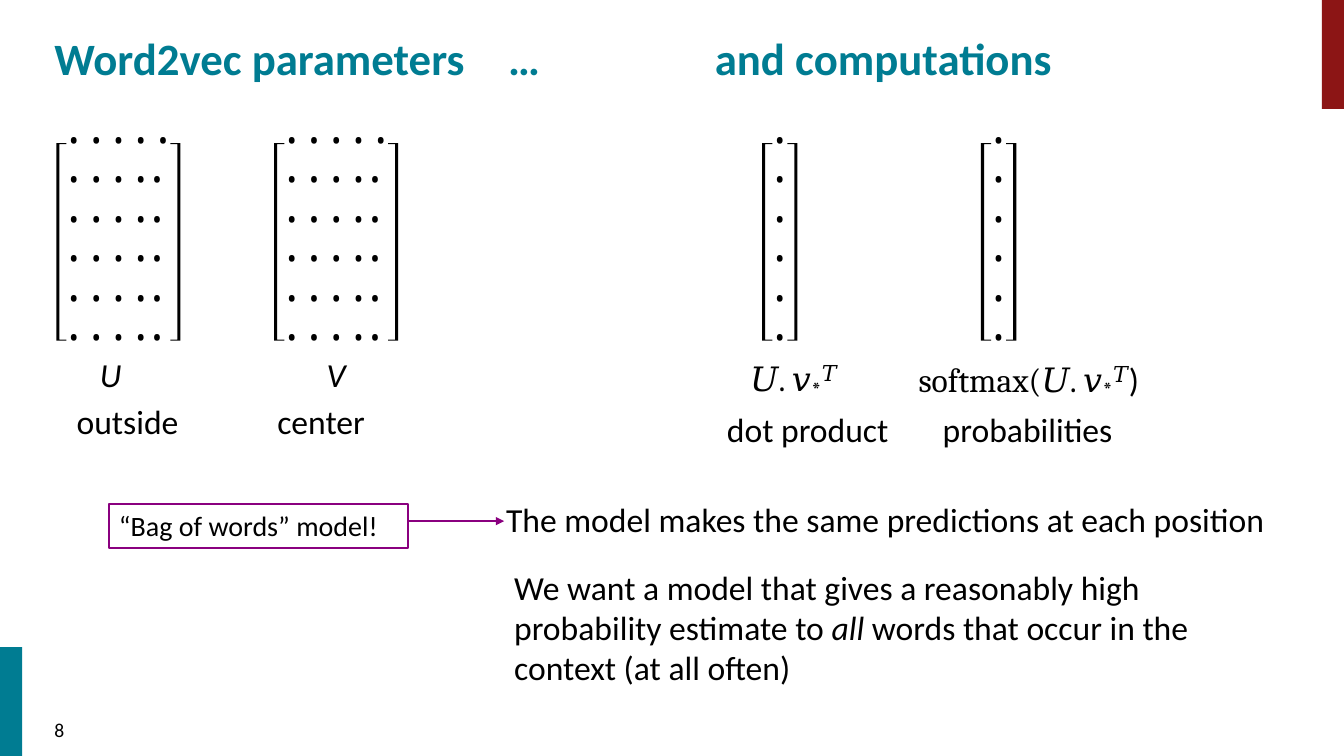
from lxml.etree import SubElement
from pptx import Presentation
from pptx.dml.color import RGBColor
from pptx.enum.shapes import MSO_CONNECTOR, MSO_SHAPE
from pptx.enum.text import MSO_ANCHOR, PP_ALIGN
from pptx.oxml.ns import qn
from pptx.util import Emu, Pt

EMU_PER_PX = 9144  # 100 px to the inch
BLACK, TEAL, CARDINAL, PURPLE = "000000", "007C92", "8C1515", "8A007F"
ROWS = 6
ROW_PITCH = Pt(28.2)
BRACKET_WIDTH, BRACKET_HEIGHT = 10, 196


def px(length):
    return Emu(length * EMU_PER_PX)


def color(hex_string):
    return RGBColor.from_string(hex_string)


def set_insets(frame, top=1):
    frame.margin_left = frame.margin_right = frame.margin_bottom = 0
    frame.margin_top = px(top)
    frame.word_wrap = True


def write(para, spans, size=24, font="Calibri", ink=BLACK, bold=None, indent=1,
          hanging=0, before=1, spacing=None):
    """Fill a paragraph with strings or (text, run attributes) pairs."""
    para.alignment = PP_ALIGN.LEFT
    para.space_before = Pt(before)
    para.line_spacing = spacing
    para.font.size, para.font.name, para.font.bold = Pt(size), font, bold
    para.font.color.rgb = color(ink)
    properties = para._p.get_or_add_pPr()
    properties.set("marL", str(px(indent)))
    properties.set("indent", str(px(hanging)))
    for span in spans:
        text, attributes = (span, {}) if isinstance(span, str) else span
        run = para.add_run()
        run.text = text
        for name, value in attributes.items():
            if name == "font":
                run.font.name = value
            else:
                run._r.get_or_add_rPr().set(name, value)


def add_text_frame(page, box, top_inset=1):
    frame = page.shapes.add_textbox(*map(px, box)).text_frame
    set_insets(frame, top_inset)
    return frame


def add_label(page, box, *spans, **style):
    write(add_text_frame(page, box).paragraphs[0], spans, **style)


def add_corner_bar(page, box, fill):
    bar = page.shapes.add_shape(MSO_SHAPE.RECTANGLE, *map(px, box))
    bar.shadow.inherit = False
    bar.fill.solid()
    bar.fill.fore_color.rgb = color(fill)
    bar.line.fill.background()


def add_heading(page):
    title = page.shapes.title
    title.left, title.top, title.width, title.height = map(px, (53, 29, 600, 56))
    set_insets(title.text_frame)
    title.text_frame.vertical_anchor = MSO_ANCHOR.TOP
    para = title.text_frame.paragraphs[0]
    write(para, ["Word2vec parameters\t…"], size=32, ink=TEAL, bold=True)
    tabs = para._p.get_or_add_pPr()
    tab_list = tabs.makeelement(qn("a:tabLst"), {})
    SubElement(tab_list, qn("a:tab"), pos=str(px(504)), algn="l")
    tabs.find(qn("a:defRPr")).addprevious(tab_list)
    add_label(page, (708, 29, 345, 56), "and computations", size=32, ink=TEAL, bold=True)


def add_bracket(page, edge, top, direction):
    """Draw a bracket from its outer edge; direction 1 opens right, -1 left."""
    bottom = top + BRACKET_HEIGHT
    tip, inner = edge + direction * BRACKET_WIDTH, edge + direction * 3
    builder = page.shapes.build_freeform(tip, top, scale=EMU_PER_PX)
    builder.add_line_segments([
        (edge, top), (edge, bottom), (tip, bottom), (tip, bottom - 1),
        (inner, bottom - 1), (inner, top + 1), (tip, top + 1)])
    bracket = builder.convert_to_shape()
    bracket.shadow.inherit = False
    bracket.fill.solid()
    bracket.fill.fore_color.rgb = color(BLACK)
    bracket.line.fill.background()


def add_matrix(page, box, first_row, other_rows, label=None, label_indent=1):
    """Place dots between brackets, with an optional name below."""
    left, top, width, height = box
    add_bracket(page, left, top, 1)
    add_bracket(page, left + width, top, -1)
    frame = add_text_frame(page, (left + 9, top - 27, width - 17, height))
    for row in range(ROWS):
        para = frame.add_paragraph() if row else frame.paragraphs[0]
        write(para, other_rows if row else first_row, font="Cambria",
              before=0 if row else 1, spacing=Pt(28.6) if row == 0 else ROW_PITCH)
    if label:
        write(frame.add_paragraph(), [(label, {"i": "1"})], indent=label_indent,
              before=0, spacing=Pt(28.4))


def add_parameters(page):
    first_row, other_rows = ["• • • • •"], ["• • • ", ("••", {"spc": "110"})]
    for left, label, label_indent in ((56, "U", 34), (272, "V", 43)):
        add_matrix(page, (left, 142, 123, 277), first_row, other_rows, label, label_indent)
    add_label(page, (75, 397, 110, 43), "outside")
    add_label(page, (274, 397, 95, 43), "center")


def add_computations(page):
    for left in (756, 973):
        add_matrix(page, (left, 142, 35, 240), ["•"], ["•"])
    vector = [("𝑣", {"spc": "50"}),
              ("*", {"sz": "2700", "baseline": "-15000", "spc": "70"}),
              ("𝑇", {"sz": "2700", "baseline": "26000", "spc": "70"})]
    product = add_text_frame(page, (717, 342, 175, 97), top_inset=9)
    write(product.paragraphs[0], ["𝑈. ", *vector], font="Cambria", indent=27, before=6.2)
    write(product.add_paragraph(), ["dot product"], indent=4, before=5.3)
    closing = (") probabilities", {"font": "Calibri"})
    add_label(page, (907, 342, 231, 97), "softmax(𝑈. ", *vector, closing,
              font="Cambria", indent=28, hanging=-24, spacing=1.18)


def add_bag_of_words(page, box):
    left, top, width, height = box
    callout = page.shapes.add_shape(MSO_SHAPE.RECTANGLE, *map(px, box))
    callout.shadow.inherit = False
    callout.fill.background()
    callout.line.color.rgb = color(PURPLE)
    callout.line.width = Pt(1.5)
    set_insets(callout.text_frame, top=4)
    callout.text_frame.vertical_anchor = MSO_ANCHOR.TOP
    write(callout.text_frame.paragraphs[0], ["“Bag of words” model!"],
          size=20, indent=10, before=2.5)
    right, level = left + width, top + 17
    arrow = page.shapes.add_connector(
        MSO_CONNECTOR.STRAIGHT, px(right), px(level), px(right + 95), px(level))
    arrow.line.color.rgb = color(PURPLE)
    arrow.line.width = Pt(1.5)
    SubElement(arrow.line._get_or_add_ln(), qn("a:tailEnd"), type="triangle")
    SubElement(arrow._element.spPr, qn("a:effectLst"))


def add_conclusions(page):
    add_label(page, (501, 494, 780, 43), "The model makes the same predictions at each position")
    add_label(page, (509, 561, 690, 125),
              "We want a model that gives a reasonably high probability estimate to ",
              ("all", {"i": "1"}), " words that occur in the context (at all often)")


def main():
    deck = Presentation()
    deck.slide_width, deck.slide_height = px(1333), px(750)
    page = deck.slides.add_slide(deck.slide_layouts[5])
    add_corner_bar(page, (1311, 0, 22, 108), CARDINAL)
    add_corner_bar(page, (0, 642, 22, 108), TEAL)
    add_heading(page)
    add_parameters(page)
    add_computations(page)
    add_conclusions(page)
    add_bag_of_words(page, (108, 500, 297, 44))
    add_label(page, (50, 711, 30, 27), "8", size=14, indent=4, before=0)
    deck.save("out.pptx")


if __name__ == "__main__":
    main()
